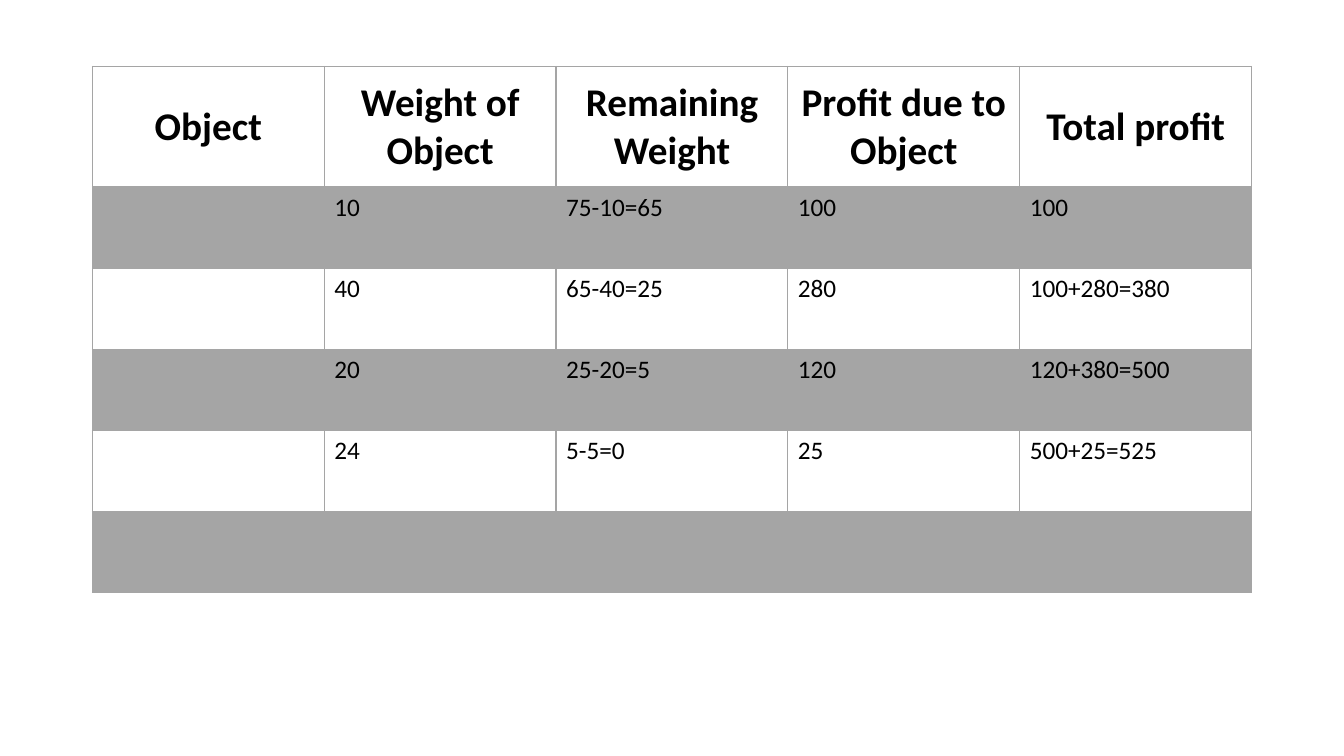
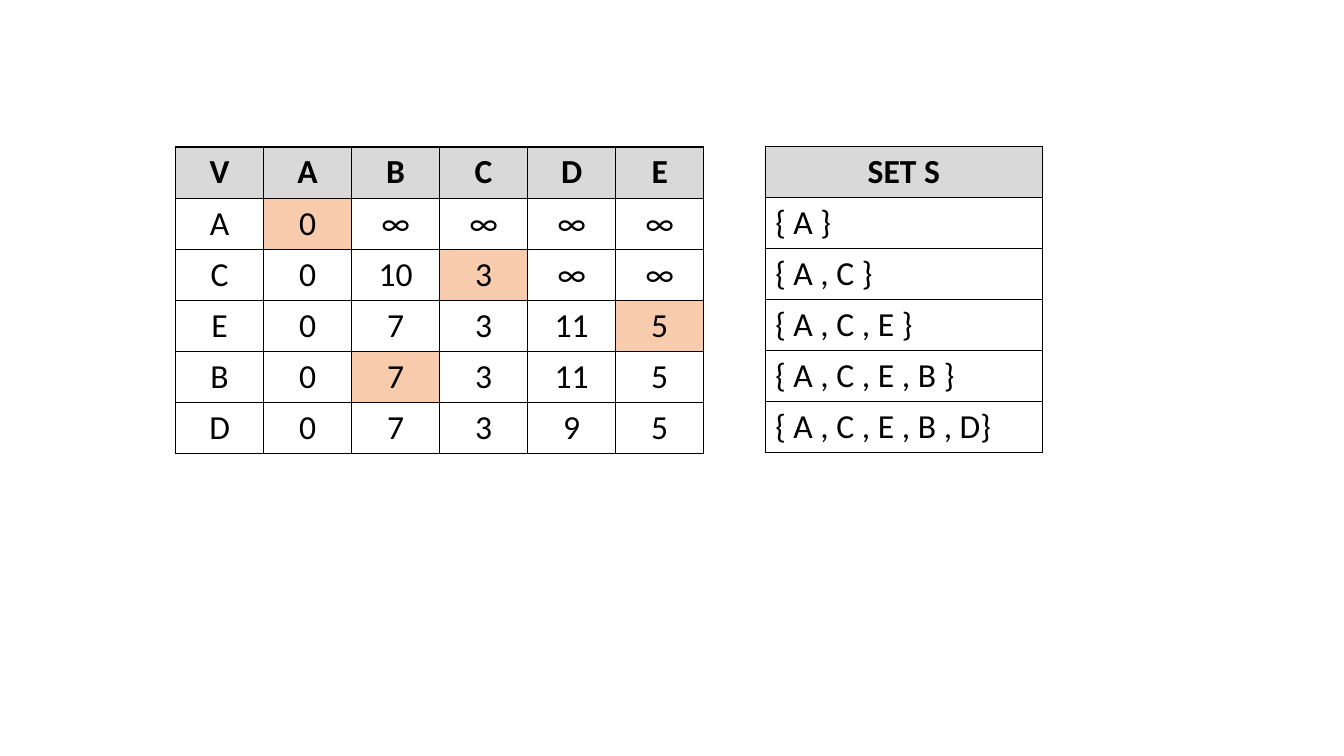
import pptx
import pptx.dml.color
import pptx.enum.text
import pptx.oxml
import pptx.oxml.ns
import pptx.util

RGB = pptx.dml.color.RGBColor
ALIGN = pptx.enum.text.PP_ALIGN
ANCHOR = pptx.enum.text.MSO_ANCHOR

BLACK = RGB(0x00, 0x00, 0x00)
GRAY = RGB(0xA5, 0xA5, 0xA5)
HEADER_GRAY = RGB(0xD9, 0xD9, 0xD9)
PEACH = RGB(0xF8, 0xCB, 0xAD)

# Square grid over the whole slide
COLUMNS, ROWS = 160, 90
UNIT = pptx.util.Inches(1 / 12)


def grid(count):
    return pptx.util.Emu(round(count * UNIT))


def write(tf, text, size=18, bold=False, color=BLACK, align=ALIGN.LEFT, font="Calibri"):
    p = tf.paragraphs[0]
    p.alignment = align
    p.font.size = pptx.util.Pt(size)
    if text:
        r = p.add_run()
        r.text = text
        r.font.name = font
        r.font.size = pptx.util.Pt(size)
        r.font.bold = bold
        r.font.color.rgb = color


def set_border(cell, side, color, width):
    cell._tc.get_or_add_tcPr().append(pptx.oxml.parse_xml(
        f'<a:ln{side} {pptx.oxml.ns.nsdecls("a")} w="{pptx.util.Pt(width)}">'
        f'<a:solidFill><a:srgbClr val="{color}"/></a:solidFill></a:ln{side}>'))


def set_fill(cell, color, opacity=100):
    if color is None:
        cell.fill.background()
        return
    cell.fill.solid()
    cell.fill.fore_color.rgb = color
    if opacity < 100:
        rgb = cell._tc.tcPr.find(".//" + pptx.oxml.ns.qn("a:solidFill") + "/*")
        rgb.append(pptx.oxml.parse_xml(
            f'<a:alpha {pptx.oxml.ns.nsdecls("a")} val="{opacity * 1000}"/>'))


class Deck:
    """Holds the presentation and the current slide."""

    def __init__(self):
        self.prs = pptx.Presentation()
        self.prs.slide_width = grid(COLUMNS)
        self.prs.slide_height = grid(ROWS)
        self.s = None

    def slide(self):
        self.s = self.prs.slides.add_slide(self.prs.slide_layouts[6])

    def table(self, left, top, column, heights, data, header, body,
              line=BLACK, header_line=1, anchor=ANCHOR.TOP, fill=lambda row, col: (None,)):
        """Draw equal columns; header and body are text formats, fill picks cell fills."""
        width = column * len(data[0])
        table = self.s.shapes.add_table(
            len(data), len(data[0]), grid(left), grid(top), grid(width), grid(sum(heights))).table
        table.first_row = table.horz_banding = False
        for row, (height, values) in enumerate(zip(heights, data)):
            table.rows[row].height = grid(height)
            for col, text in enumerate(values):
                cell = table.cell(row, col)
                widths = {"L": 1, "R": 1, "T": header_line if row == 1 else 1,
                          "B": header_line if row == 0 else 1}
                for side, weight in widths.items():
                    set_border(cell, side, line, weight)
                set_fill(cell, *fill(row, col))
                cell.vertical_anchor = ANCHOR.TOP if row else anchor
                write(cell.text_frame, text, **(body if row else header))

    def save(self):
        self.prs.save("out.pptx")


def main():
    deck = Deck()

    # Knapsack profit table
    deck.slide()
    profits = [
        ["Object", "Weight of Object", "Remaining Weight", "Profit due to Object", "Total profit"],
        ["", "10", "75-10=65", "100", "100"],
        ["", "40", "65-40=25", "280", "100+280=380"],
        ["", "20", "25-20=5", "120", "120+380=500"],
        ["", "24", "5-5=0", "25", "500+25=525"],
        [""] * 5,
    ]
    deck.table(11, 7.9, 27.6, [14.4] + [9.65] * 5, profits,
               header=dict(size=28, bold=True, align=ALIGN.CENTER), body=dict(size=18),
               line=GRAY, header_line=2, anchor=ANCHOR.MIDDLE,
               fill=lambda row, col: (GRAY, 20) if row % 2 else (None,))

    # Shortest-path distances, with the vertex chosen at each step
    deck.slide()
    distances = [line.split() for line in (
        "V A B C D E",
        "A 0 ∞ ∞ ∞ ∞",
        "C 0 10 3 ∞ ∞",
        "E 0 7 3 11 5",
        "B 0 7 3 11 5",
        "D 0 7 3 9 5",
    )]
    chosen = {(1, 1), (2, 3), (3, 5), (4, 2)}
    heading = dict(size=24, bold=True, align=ALIGN.CENTER)
    heights = [6] * len(distances)

    def step_fill(row, col):
        if row == 0:
            return (HEADER_GRAY,)
        return (PEACH if (row, col) in chosen else None,)

    deck.table(20.9, 17.5, 10.48, heights, distances, header=heading,
               body=dict(size=24, align=ALIGN.CENTER), fill=step_fill)

    # Visited set after each step
    visited = ["SET S", "{ A }", "{ A , C }", "{ A , C , E }",
               "{ A , C , E , B }", "{ A , C , E , B , D}"]
    deck.table(91.1, 17.4, 33, heights, [[text] for text in visited], header=heading,
               body=dict(size=24), fill=lambda row, col: (None if row else HEADER_GRAY,))

    deck.save()


if __name__ == "__main__":
    main()
